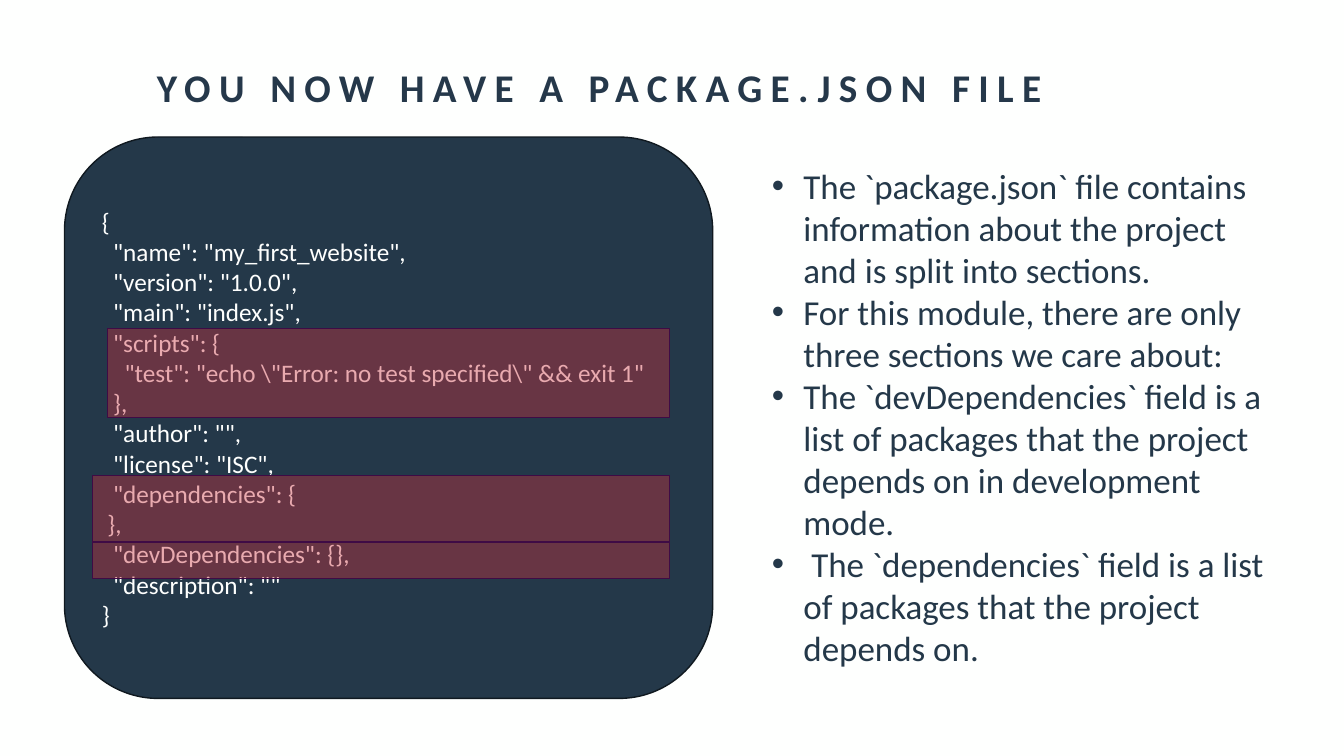
from dataclasses import dataclass

from lxml import etree
from pptx import Presentation
from pptx.dml import color
from pptx.enum import shapes, text
from pptx.oxml import ns
from pptx.util import Pt


@dataclass(frozen=True)
class Theme:
    font: str = "Calibri"
    background: str = "FEFFFE"
    title: str = "25384A"
    navy: str = "243849"
    panel_line: str = "101920"
    highlight: str = "CB323F"
    highlight_line: str = "3F0B45"
    highlight_opacity: int = 41
    title_size: float = 28
    code_size: float = 18
    bullet_size: float = 25


@dataclass(frozen=True)
class Box:
    left: float
    top: float
    width: float
    height: float

    def lengths(self) -> tuple:
        return Pt(self.left), Pt(self.top), Pt(self.width), Pt(self.height)


THEME = Theme()
TITLE = "YOU NOW HAVE A PACKAGE.JSON FILE"
TITLE_BOX = Box(100, 26.6, 656.6, 71.3)
CODE_BOX = Box(46.1, 97.9, 463, 401)
BULLET_BOX = Box(544.3, 113.8, 370.1, 370.8)
HIGHLIGHTS = [
    Box(76.6, 234.7, 401.8, 63.4),
    Box(66.2, 339.8, 412.2, 47.5),
    Box(66.2, 387.3, 412.2, 25.9),
]
CODE = r'''{
  "name": "my_first_website",
  "version": "1.0.0",
  "main": "index.js",
  "scripts": {
    "test": "echo \"Error: no test specified\" && exit 1"
  },
  "author": "",
  "license": "ISC",
  "dependencies": {
 },
  "devDependencies": {},
  "description": ""
}'''
BULLETS = [
    "The `package.json` file contains information about the project and is split into sections.",
    "For this module, there are only three sections we care about:",
    "The `devDependencies` field is a list of packages that the project depends on in development mode.",
    " The `dependencies` field is a list of packages that the project depends on.",
]


def rgb(value: str) -> color.RGBColor:
    return color.RGBColor.from_string(value)


def write_text(shape, lines: list[str], *, size: float, ink: str, bold: bool = False,
               align=text.PP_ALIGN.LEFT, anchor=text.MSO_ANCHOR.TOP,
               spacing: float = 0, indent: float = 0) -> None:
    frame = shape.text_frame
    frame.word_wrap = True
    frame.vertical_anchor = anchor
    for index, line in enumerate(lines):
        paragraph = frame.add_paragraph() if index else frame.paragraphs[0]
        paragraph.alignment = align
        if indent:
            properties = paragraph._p.get_or_add_pPr()
            properties.set("marL", str(Pt(indent)))
            properties.set("indent", str(-Pt(indent)))
            etree.SubElement(properties, ns.qn("a:buFont"), typeface="Arial")
            etree.SubElement(properties, ns.qn("a:buChar"), char="•")
        run = paragraph.add_run()
        run.text = line
        run.font.name = THEME.font
        run.font.size = Pt(size)
        run.font.bold = bold
        run.font.color.rgb = rgb(ink)
        if spacing:
            run._r.get_or_add_rPr().set("spc", str(round(spacing * 100)))


def add_panel(slide, kind, box: Box, fill: str, line: str, opacity: int = 100):
    shape = slide.shapes.add_shape(kind, *box.lengths())
    shape.shadow.inherit = False
    shape.fill.solid()
    shape.fill.fore_color.rgb = rgb(fill)
    shape.line.color.rgb = rgb(line)
    shape.line.width = Pt(1)
    if opacity < 100:
        fill_color = shape._element.spPr.find(ns.qn("a:solidFill"))[0]
        etree.SubElement(fill_color, ns.qn("a:alpha"), val=str(opacity * 1000))
    return shape


def main() -> None:
    presentation = Presentation()
    presentation.slide_width = Pt(960)
    presentation.slide_height = Pt(540)
    slide = presentation.slides.add_slide(presentation.slide_layouts[6])
    slide.background.fill.solid()
    slide.background.fill.fore_color.rgb = rgb(THEME.background)

    title = slide.shapes.add_textbox(*TITLE_BOX.lengths())
    write_text(title, [TITLE], size=THEME.title_size, ink=THEME.title, bold=True,
               align=text.PP_ALIGN.CENTER, anchor=text.MSO_ANCHOR.MIDDLE, spacing=6)

    code = add_panel(slide, shapes.MSO_SHAPE.ROUNDED_RECTANGLE, CODE_BOX,
                     THEME.navy, THEME.panel_line)
    write_text(code, CODE.splitlines(), size=THEME.code_size, ink=THEME.background,
               anchor=text.MSO_ANCHOR.MIDDLE)

    bullets = slide.shapes.add_textbox(*BULLET_BOX.lengths())
    write_text(bullets, BULLETS, size=THEME.bullet_size, ink=THEME.navy, indent=22.5)
    bullets.text_frame.auto_size = text.MSO_AUTO_SIZE.SHAPE_TO_FIT_TEXT

    for box in HIGHLIGHTS:
        add_panel(slide, shapes.MSO_SHAPE.RECTANGLE, box, THEME.highlight,
                  THEME.highlight_line, THEME.highlight_opacity)

    presentation.save("out.pptx")


if __name__ == "__main__":
    main()
